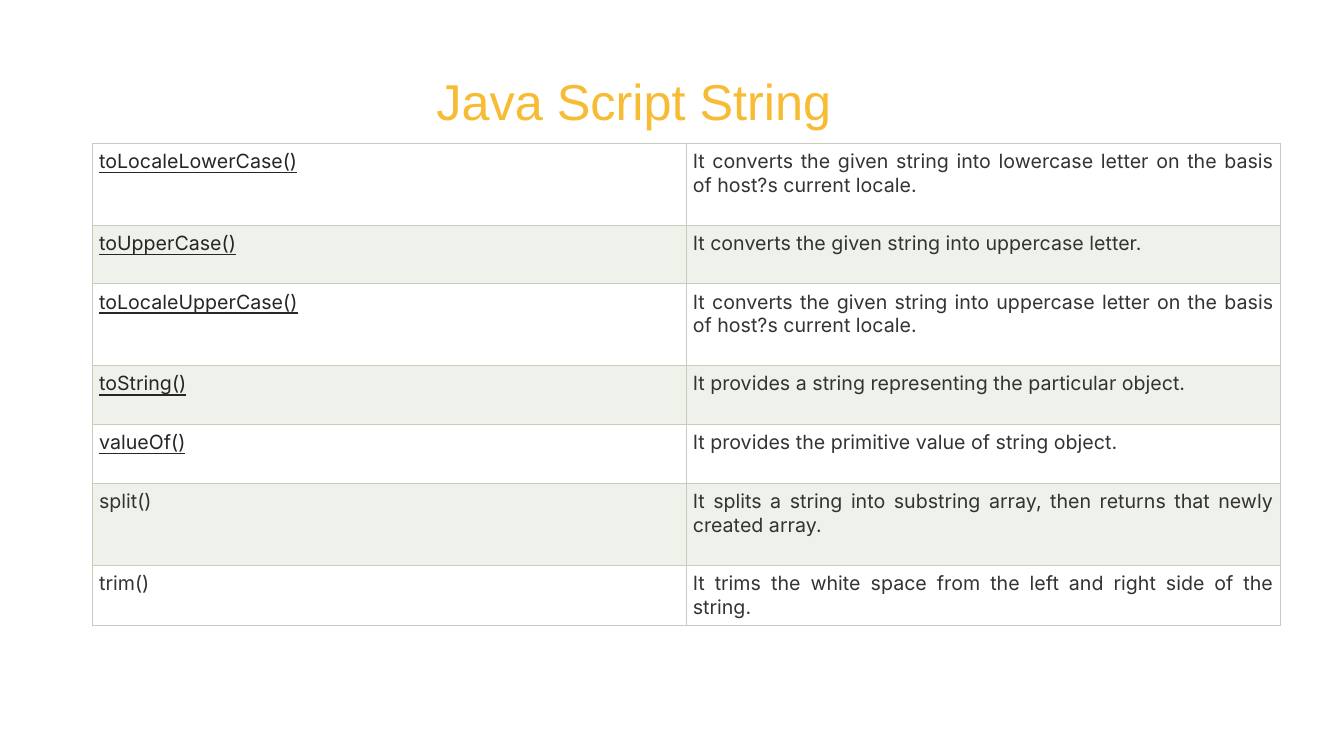
from dataclasses import dataclass

from lxml.etree import SubElement
from pptx import Presentation
from pptx.dml.color import RGBColor as RGB
from pptx.enum.text import MSO_ANCHOR as Anchor, MSO_AUTO_SIZE as AutoSize, PP_ALIGN as Align
from pptx.oxml.ns import qn
from pptx.slide import Slide
from pptx.table import _Cell as Cell
from pptx.util import Pt


@dataclass(frozen=True)
class Theme:
    title_font: str = "Arial"
    body_font: str = "Inter"
    title_size: float = 36
    body_size: float = 14
    title: str = "F7BB34"
    link: str = "262626"
    text: str = "333333"
    border: str = "C7CCBE"
    bands: tuple[str, str] = ("FFFFFF", "EFF1EB")
    background: str = "FFFFFF"
    border_width: float = 0.75
    title_inset: float = 9.36
    cell_inset: float = 4.5


@dataclass(frozen=True)
class Method:
    name: str
    description: str
    height: float
    linked: bool = True


THEME = Theme()
TALL, SHORT = 58.5, 42
TABLE_LEFT, TABLE_TOP, TABLE_WIDTH = 66.3, 102.3, 848.2
METHODS = [
    Method("toLocaleLowerCase()", "It converts the given string into lowercase letter "
           "on the basis of host?s current locale.", TALL),
    Method("toUpperCase()", "It converts the given string into uppercase letter.", SHORT),
    Method("toLocaleUpperCase()", "It converts the given string into uppercase letter "
           "on the basis of host?s current locale.", TALL),
    Method("toString()", "It provides a string representing the particular object.", SHORT),
    Method("valueOf()", "It provides the primitive value of string object.", SHORT),
    Method("split()", "It splits a string into substring array, "
           "then returns that newly created array.", TALL, linked=False),
    Method("trim()", "It trims the white space from the left and right side "
           "of the string.", SHORT, linked=False),
]


def set_margins(box, inset: float) -> None:
    """Give a cell or text frame the same inset on all sides."""
    box.margin_left = box.margin_right = Pt(inset)
    box.margin_top = box.margin_bottom = Pt(inset)


def add_title(s: Slide, text: str) -> None:
    sp = s.shapes.title
    sp.left, sp.top, sp.width, sp.height = Pt(46), Pt(47.5), Pt(813.6), Pt(54)
    sp.fill.solid()
    sp.fill.fore_color.rgb = RGB.from_string(THEME.background)
    tf = sp.text_frame
    tf.text = text
    tf.word_wrap = True
    tf.auto_size = AutoSize.NONE
    tf.vertical_anchor = Anchor.MIDDLE
    set_margins(tf, THEME.title_inset)
    p = tf.paragraphs[0]
    p.alignment = Align.CENTER
    p.line_spacing = 0.9
    font = p.runs[0].font
    font.name, font.size = THEME.title_font, Pt(THEME.title_size)
    font.color.rgb = RGB.from_string(THEME.title)


def add_borders(cell: Cell) -> None:
    """Draw all four cell edges; call before the cell gets its fill."""
    tc_pr = cell._tc.get_or_add_tcPr()
    for edge in ("a:lnL", "a:lnR", "a:lnT", "a:lnB"):
        ln = SubElement(tc_pr, qn(edge), w=str(Pt(THEME.border_width)))
        fill = SubElement(ln, qn("a:solidFill"))
        SubElement(fill, qn("a:srgbClr"), val=THEME.border)


def fill_cell(cell: Cell, text: str, band: str, linked: bool) -> None:
    add_borders(cell)
    cell.fill.solid()
    cell.fill.fore_color.rgb = RGB.from_string(band)
    set_margins(cell, THEME.cell_inset)
    cell.vertical_anchor = Anchor.TOP
    cell.text_frame.text = text
    p = cell.text_frame.paragraphs[0]
    p.alignment = Align.JUSTIFY
    font = p.runs[0].font
    font.name, font.size = THEME.body_font, Pt(THEME.body_size)
    font.underline = linked
    font.color.rgb = RGB.from_string(THEME.link if linked else THEME.text)


def add_method_table(s: Slide, methods: list[Method]) -> None:
    height = sum(m.height for m in methods)
    table = s.shapes.add_table(len(methods), 2, Pt(TABLE_LEFT), Pt(TABLE_TOP),
                               Pt(TABLE_WIDTH), Pt(height)).table
    table.first_row = table.horz_banding = False
    for i, method in enumerate(methods):
        table.rows[i].height = Pt(method.height)
        band = THEME.bands[i % 2]
        fill_cell(table.cell(i, 0), method.name, band, method.linked)
        fill_cell(table.cell(i, 1), method.description, band, False)


def main() -> None:
    prs = Presentation()
    prs.slide_width, prs.slide_height = Pt(960), Pt(540)
    s = prs.slides.add_slide(prs.slide_layouts.get_by_name("Title Only"))
    s.background.fill.solid()
    s.background.fill.fore_color.rgb = RGB.from_string(THEME.background)
    add_title(s, "Java Script String")
    add_method_table(s, METHODS)
    prs.save("out.pptx")


if __name__ == "__main__":
    main()
